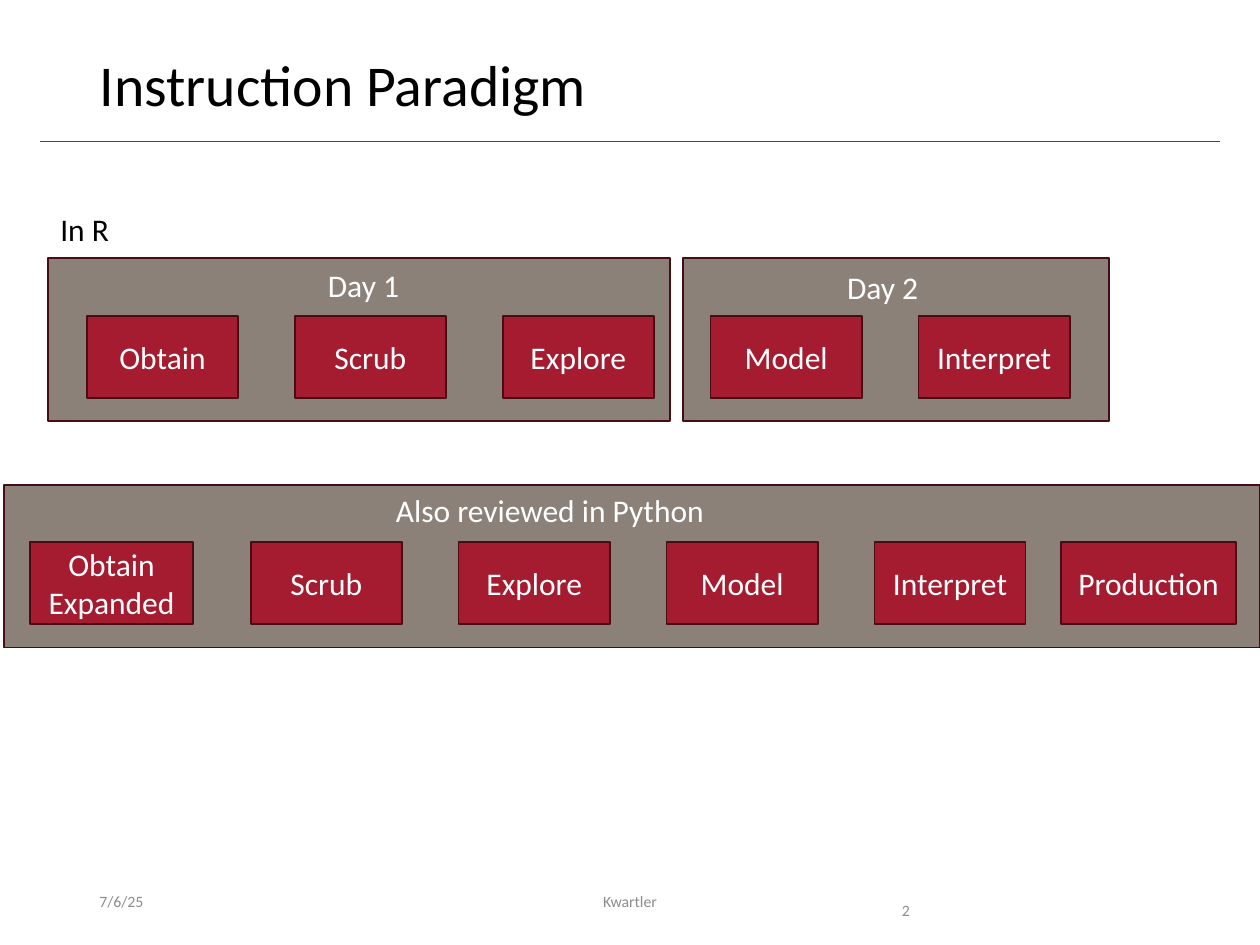
from pptx import Presentation
from pptx.dml.color import RGBColor
from pptx.enum import shapes, text
from pptx.oxml.ns import qn
from pptx import util as u

CRIMSON = RGBColor(0xA5, 0x1C, 0x30)
MAROON = RGBColor(0x48, 0x0C, 0x15)
STONE = RGBColor(0x8C, 0x81, 0x79)
GRAY = RGBColor(0x8C, 0x8C, 0x8C)
WHITE = RGBColor(0xFF, 0xFF, 0xFF)
BLACK = RGBColor(0, 0, 0)

LEFT, CENTER = text.PP_ALIGN.LEFT, text.PP_ALIGN.CENTER
TOP, MIDDLE = text.MSO_ANCHOR.TOP, text.MSO_ANCHOR.MIDDLE
COLS, ROWS = 10, 7.5
STEP_W, STEP_H, STEP_PITCH = 1.2, 0.65, 1.65
PANEL_H = 1.29


class Deck:
    """Holds the style and the current slide; places elements in grid columns and rows."""

    font = "Calibri"

    def __init__(self):
        self.prs = Presentation()
        self.prs.slide_width, self.prs.slide_height = u.Inches(10), u.Inches(7.5)
        self.slide = None

    def grid(self, col, row):
        return (int(self.prs.slide_width * col / COLS),
                int(self.prs.slide_height * row / ROWS))

    def box(self, col, row, width, height):
        return *self.grid(col, row), *self.grid(width, height)

    def set_text(self, sp, content, size, color, align, anchor=TOP, spacing=None):
        tf = sp.text_frame
        tf.text = content
        tf.vertical_anchor = anchor
        for p in tf.paragraphs:
            p.alignment = align
            p.line_spacing = spacing
            p.font.name, p.font.size = self.font, u.Pt(size)
            p.font.color.rgb = color
        return tf

    def title(self, content, *place):
        self.slide = self.prs.slides.add_slide(self.prs.slide_layouts[5])
        sp = self.slide.shapes.title
        sp.left, sp.top, sp.width, sp.height = self.box(*place)
        tf = self.set_text(sp, content, 33, BLACK, LEFT, spacing=0.9)
        tf.auto_size = text.MSO_AUTO_SIZE.NONE

    def rule(self, start, end, row):
        line = self.slide.shapes.add_connector(
            shapes.MSO_CONNECTOR.STRAIGHT, *self.grid(start, row), *self.grid(end, row))
        line.line.color.rgb, line.line.width = CRIMSON, u.Pt(0.5)
        sp_pr = line._element.spPr
        sp_pr.append(sp_pr.makeelement(qn("a:effectLst"), {}))

    def rect(self, fill, *place):
        sp = self.slide.shapes.add_shape(shapes.MSO_SHAPE.RECTANGLE, *self.box(*place))
        sp.shadow.inherit = False
        sp.fill.solid()
        sp.fill.fore_color.rgb = fill
        sp.line.color.rgb, sp.line.width = MAROON, u.Pt(1)
        return sp

    def step(self, content, col, row, width=STEP_W):
        sp = self.rect(CRIMSON, col, row, width, STEP_H)
        self.set_text(sp, content, 18, WHITE, CENTER, MIDDLE)

    def label(self, content, *place, color=WHITE, align=CENTER, wrap=True):
        sp = self.slide.shapes.add_textbox(*self.box(*place))
        tf = self.set_text(sp, content, 18, color, align)
        tf.word_wrap = wrap
        tf.auto_size = text.MSO_AUTO_SIZE.SHAPE_TO_FIT_TEXT

    def footer(self, content, col, width, align=LEFT, anchor=MIDDLE, spacing=None):
        sp = self.slide.shapes.add_textbox(*self.box(col, 6.95, width, 0.4))
        tf = self.set_text(sp, content, 9, GRAY, align, anchor, spacing)
        tf.word_wrap = True


def main():
    deck = Deck()
    steps = ["Obtain", "Scrub", "Explore", "Model", "Interpret"]

    # Title and rule
    deck.title("Instruction Paradigm", 0.69, 0.4, 8.62, 0.65)
    deck.rule(0.32, 9.68, 1.12)

    # R sessions over two days
    deck.label("In R", 0.38, 1.62, 0.59, 0.4, color=BLACK, align=LEFT, wrap=False)
    deck.rect(STONE, 5.42, 2.05, 3.38, PANEL_H)
    deck.rect(STONE, 0.38, 2.05, 4.94, PANEL_H)
    for i, name in enumerate(steps):
        deck.step(name, 0.69 + i * STEP_PITCH, 2.51)
    deck.label("Day 1", 2.36, 2.06, 1.05, 0.4)
    deck.label("Day 2", 6.48, 2.08, 1.05, 0.4)

    # Python review
    deck.rect(STONE, 0.03, 3.85, 9.97, PANEL_H)
    deck.label("Also reviewed in Python", 2.01, 3.85, 4.71, 0.4)
    deck.step("Obtain\nExpanded", 0.24, 4.3, 1.29)
    for i, name in enumerate(steps[1:]):
        deck.step(name, 1.99 + i * STEP_PITCH, 4.3)
    deck.step("Production", 8.42, 4.3, 1.39)

    # Footer
    deck.footer("7/6/25", 0.69, 2.25)
    deck.footer("Kwartler", 3.31, 3.38, CENTER)
    deck.footer("2", 7.06, 0.94, anchor=TOP, spacing=2.0)

    deck.prs.save("out.pptx")


if __name__ == "__main__":
    main()
